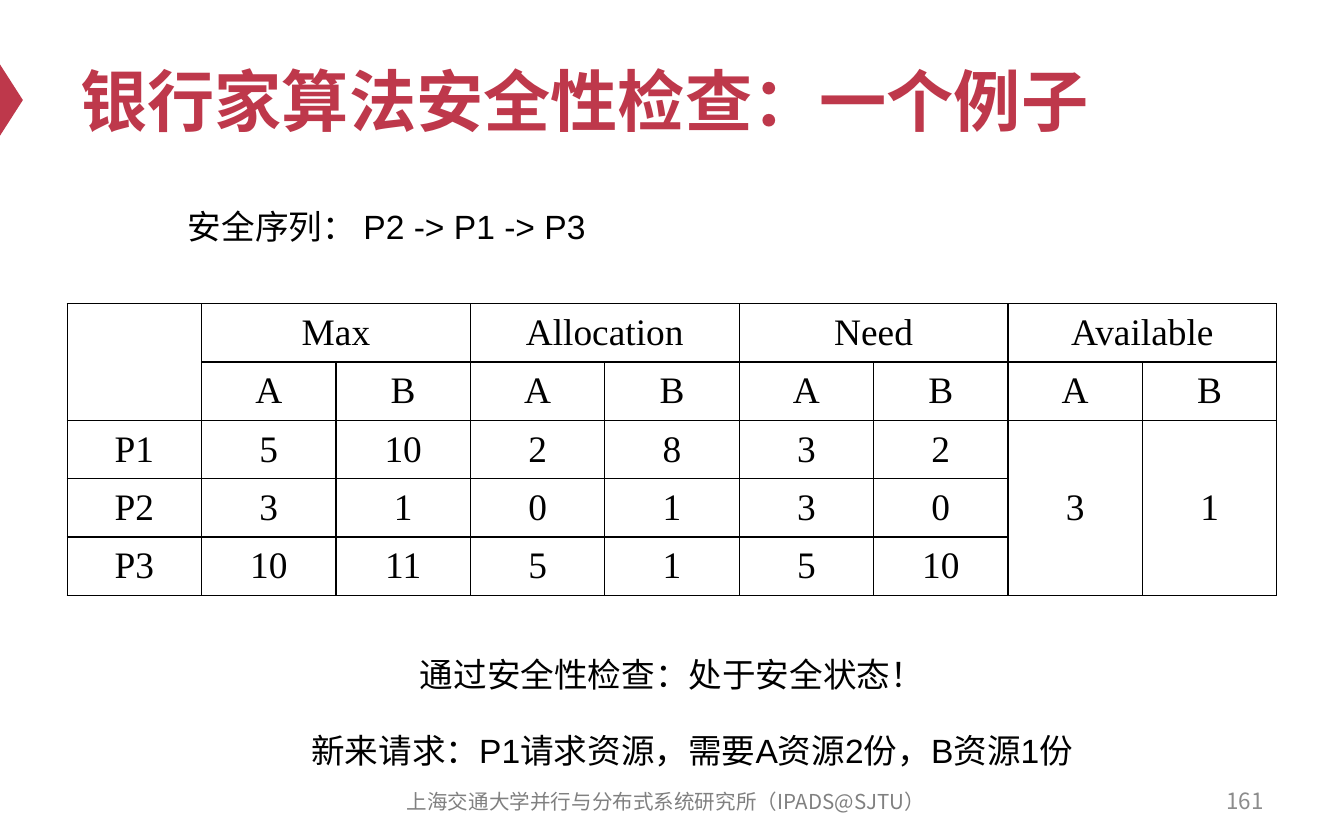
import lxml.etree
import pptx
import pptx.dml.color
import pptx.enum.shapes
import pptx.enum.text
import pptx.oxml.ns
import pptx.util
from dataclasses import dataclass

Inches = pptx.util.Inches
Align = pptx.enum.text.PP_ALIGN
Anchor = pptx.enum.text.MSO_ANCHOR
qn = pptx.oxml.ns.qn


@dataclass(frozen=True)
class Theme:
    accent: str = "BE384B"
    ink: str = "000000"
    footer: str = "808080"
    number: str = "8C8C8C"
    sans: str = "Arial"
    serif: str = "Times New Roman"
    chinese: str = "Noto Sans CJK SC"
    title_size: int = 36
    table_size: int = 20
    body_size: int = 18
    footer_size: int = 11
    number_size: int = 12
    border: float = 0.75


theme = Theme()

# Content
TITLE = "银行家算法安全性检查：一个例子"
NOTES = [  # text, left, top, alignment
    ("通过安全性检查：处于安全状态！", 1.18, 4.67, Align.CENTER),
    ("安全序列： P2 -> P1 -> P3", 1.3, 1.33, Align.LEFT),
    ("新来请求：P1请求资源，需要A资源2份，B资源1份", 1.33, 5.23, Align.CENTER),
]
FOOTER = "上海交通大学并行与分布式系统研究所（IPADS@SJTU）"
PAGE_NUMBER = "161"
GROUPS = ["Max", "Allocation", "Need", "Available"]
RESOURCES = ["A", "B"]
PROCESSES = [
    ("P1", 5, 10, 2, 8, 3, 2),
    ("P2", 3, 1, 0, 1, 3, 0),
    ("P3", 10, 11, 5, 1, 5, 10),
]
AVAILABLE = [3, 1]

# Table layout
TABLE_LEFT, TABLE_TOP = 0.5, 2.26
COLUMN_WIDTH, ROW_HEIGHT = 1, 0.41


def colour(value):
    return pptx.dml.color.RGBColor.from_string(value)


def write(frame, text, size, font, ink, align, bold=False):
    para = frame.paragraphs[0]
    para.alignment = align
    span = para.add_run()
    span.text = text
    span.font.size = pptx.util.Pt(size)
    span.font.bold = bold
    span.font.color.rgb = colour(ink)
    span.font.name = font
    properties = span.font._element
    lxml.etree.SubElement(properties, qn("a:ea"), typeface=theme.chinese)
    return para


def add_text(page, place, text, size, font, ink, align, anchor=Anchor.MIDDLE, bold=False):
    box = page.shapes.add_textbox(*map(Inches, place))
    frame = box.text_frame
    frame.word_wrap = True
    frame.vertical_anchor = anchor
    return frame, write(frame, text, size, font, ink, align, bold)


def style_cell(cell):
    cell.vertical_anchor = Anchor.MIDDLE
    properties = cell._tc.get_or_add_tcPr()
    for side in ("lnL", "lnR", "lnT", "lnB"):
        line = lxml.etree.SubElement(
            properties, qn(f"a:{side}"), w=str(pptx.util.Pt(theme.border)))
        fill = lxml.etree.SubElement(line, qn("a:solidFill"))
        lxml.etree.SubElement(fill, qn("a:srgbClr"), val=theme.ink)
    cell.fill.background()


def add_resource_table(page):
    pair = len(RESOURCES)
    rows, columns = 2 + len(PROCESSES), 1 + pair * len(GROUPS)
    table = page.shapes.add_table(
        rows, columns, Inches(TABLE_LEFT), Inches(TABLE_TOP),
        Inches(columns * COLUMN_WIDTH), Inches(rows * ROW_HEIGHT)).table
    table.first_row = table.horz_banding = False
    for column in table.columns:
        column.width = Inches(COLUMN_WIDTH)
    for row in table.rows:
        row.height = Inches(ROW_HEIGHT)
    for cell in table.iter_cells():
        style_cell(cell)

    # Values by row and column
    values = {(0, 1 + pair * i): name for i, name in enumerate(GROUPS)}
    values |= {(1, 1 + i): name for i, name in enumerate(RESOURCES * len(GROUPS))}
    values |= {(2 + i, j): value for i, process in enumerate(PROCESSES)
               for j, value in enumerate(process)}
    first_available = columns - pair
    values |= {(2, first_available + i): value for i, value in enumerate(AVAILABLE)}
    for (row, column), value in values.items():
        write(table.cell(row, column).text_frame, str(value),
              theme.table_size, theme.serif, theme.ink, Align.CENTER)

    # Merged corner, group headings and available amounts
    table.cell(0, 0).merge(table.cell(1, 0))
    for column in range(1, columns, pair):
        table.cell(0, column).merge(table.cell(0, column + pair - 1))
    for column in range(first_available, columns):
        table.cell(2, column).merge(table.cell(rows - 1, column))


def main():
    deck = pptx.Presentation()
    deck.slide_width, deck.slide_height = Inches(10), Inches(6.25)
    page = deck.slides.add_slide(deck.slide_layouts[6])

    # Edge marker and title
    marker = page.shapes.add_shape(
        pptx.enum.shapes.MSO_SHAPE.ISOSCELES_TRIANGLE,
        Inches(-0.18), Inches(0.66), Inches(0.53), Inches(0.17))
    marker.rotation = 90
    marker.shadow.inherit = False
    marker.fill.solid()
    marker.fill.fore_color.rgb = colour(theme.accent)
    marker.line.fill.background()
    add_text(page, (0.5, 0.25, 9, 0.98), TITLE, theme.title_size,
             theme.sans, theme.accent, Align.LEFT, bold=True)

    add_resource_table(page)

    # Notes around the table
    for text, left, top, align in NOTES:
        frame, para = add_text(page, (left, top, 7.64, 0.5), text, theme.body_size,
                               theme.sans, theme.ink, align, Anchor.TOP)
        frame.auto_size = pptx.enum.text.MSO_AUTO_SIZE.SHAPE_TO_FIT_TEXT
        para.line_spacing = 1.5

    # Footer and page number
    add_text(page, (2.79, 5.8, 4.33, 0.33), FOOTER, theme.footer_size,
             theme.chinese, theme.footer, Align.CENTER)
    add_text(page, (7.17, 5.79, 2.33, 0.33), PAGE_NUMBER, theme.number_size,
             theme.chinese, theme.number, Align.RIGHT)

    deck.save("out.pptx")


if __name__ == "__main__":
    main()
